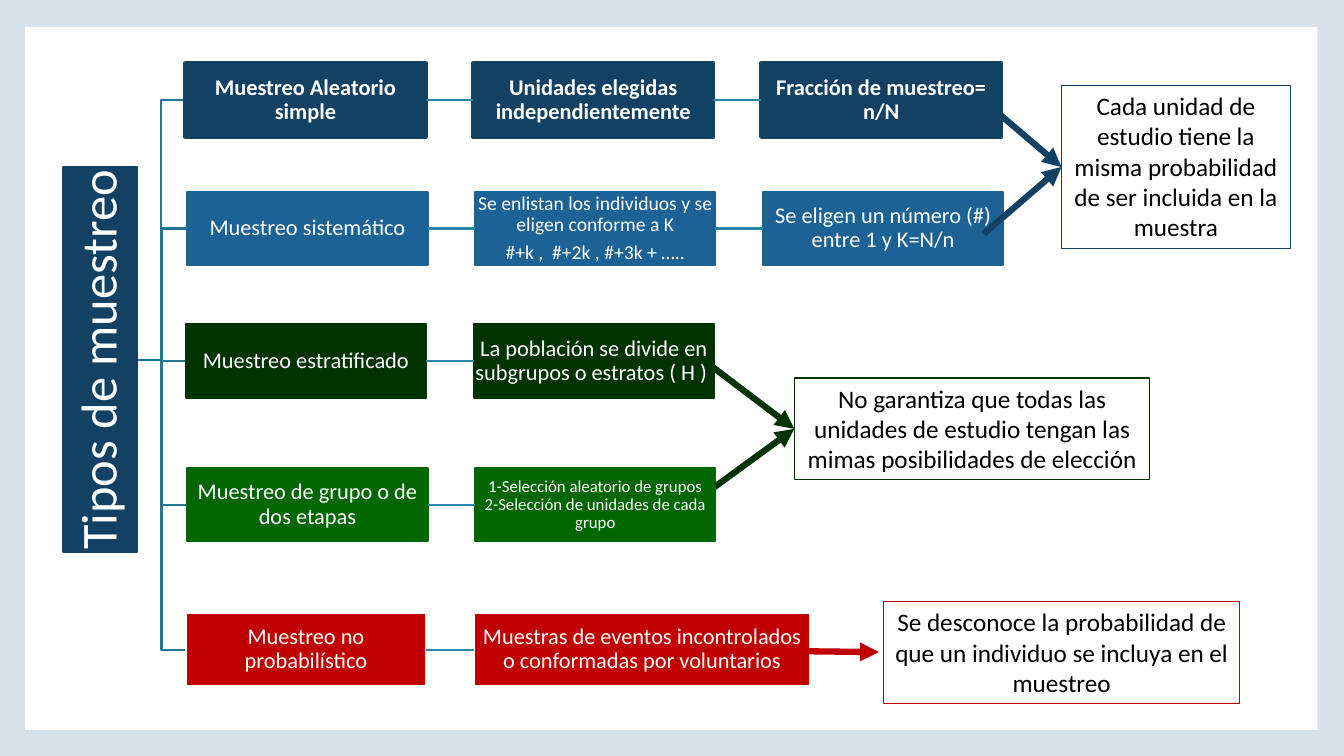
from dataclasses import dataclass

import pptx
import pptx.dml.color
import pptx.enum.shapes
import pptx.enum.text
import pptx.util
from lxml import etree
from pptx.oxml.ns import qn

Pt = pptx.util.Pt
ALIGN = pptx.enum.text.PP_ALIGN
ANCHOR = pptx.enum.text.MSO_ANCHOR
CONNECTOR = pptx.enum.shapes.MSO_CONNECTOR

COLORS = {
    "background": "D8E2EB", "white": "FFFFFF", "black": "000000",
    "navy": "124163", "blue": "1C6294", "forest": "003300",
    "green": "006600", "red": "C00000",
    "branch": "267493", "link": "2B85A8",
}
FONT = "Calibri"
STEP_WIDTH, STEP_HEIGHT, STEP_PITCH = 171.5, 52.5, 205.6
TRUNK_RIGHT, TRUNK_MIDDLE = 97.9, 257
TRUNK_LENGTH, TRUNK_THICKNESS = 275, 52.5


@dataclass
class Step:
    text: str
    size: float = 16
    width: float = STEP_WIDTH


@dataclass
class Method:
    left: float
    top: float
    fill: str
    border: str
    steps: list[Step]
    border_width: float = 1.5
    bold: bool = False


@dataclass
class Arrow:
    start: tuple[float, float]
    end: tuple[float, float] | None = None  # None: joins the conclusion's left side
    behind: bool = False


@dataclass
class Conclusion:
    text: str
    left: float
    top: float
    width: float
    height: float
    color: str
    arrows: list[Arrow]


METHODS = [
    Method(132.5, 45.3, "navy", "navy", [
        Step("Muestreo Aleatorio simple"),
        Step("Unidades elegidas independientemente"),
        Step("Fracción de muestreo= n/N")], border_width=3, bold=True),
    Method(133.9, 137, "blue", "blue", [
        Step("Muestreo sistemático"),
        Step("Se enlistan los individuos y se eligen conforme a K\n"
             "#+k ,  #+2k , #+3k + …..", 14),
        Step("Se eligen un número (#) entre 1 y K=N/n")]),
    Method(132.8, 231.7, "forest", "forest", [
        Step("Muestreo estratificado"),
        Step("La población se divide en subgrupos o estratos ( H ) ")]),
    Method(133.9, 334.3, "green", "green", [
        Step("Muestreo de grupo o de dos etapas"),
        Step("1-Selección aleatorio de grupos\v"
             "2-Selección de unidades de cada grupo", 12)]),
    Method(132.8, 437.8, "red", "white", [
        Step("Muestreo no probabilístico"),
        Step("Muestras de eventos incontrolados o conformadas por voluntarios",
             width=240.5)]),
]
CONCLUSIONS = [
    Conclusion("Cada unidad de estudio tiene la misma probabilidad de ser incluida "
               "en la muestra", 758.2, 61, 163.5, 116.6, "navy",
               [Arrow((702.7, 72)), Arrow((702.7, 167))]),
    Conclusion("No garantiza que todas las unidades de estudio tengan las mimas "
               "posibilidades de elección", 567.4, 270, 254, 72.7, "forest",
               [Arrow((506.2, 260), behind=True), Arrow((499.7, 355.7), behind=True)]),
    Conclusion("Se desconoce la probabilidad de que un individuo se incluya en el "
               "muestreo", 631.4, 429.8, 254, 72.7, "red",
               [Arrow((567.4, 465.1), (627.8, 465.8))]),
]


def rgb(name: str) -> pptx.dml.color.RGBColor:
    return pptx.dml.color.RGBColor.from_string(COLORS[name])


def add_box(slide, left: float, top: float, width: float, height: float,
            fill: str, border: str | None = None, border_width: float = 1.5):
    box = slide.shapes.add_shape(pptx.enum.shapes.MSO_SHAPE.RECTANGLE,
                                 Pt(left), Pt(top), Pt(width), Pt(height))
    box.shadow.inherit = False
    box.fill.solid()
    box.fill.fore_color.rgb = rgb(fill)
    if border:
        box.line.color.rgb = rgb(border)
        box.line.width = Pt(border_width)
    else:
        box.line.fill.background()
    return box


def write(box, text: str, size: float, color: str, spacing: float = 1,
          inset: float | None = None, bold: bool = False) -> None:
    frame = box.text_frame
    frame.word_wrap = True
    frame.text = text
    if inset is not None:
        frame.margin_left = frame.margin_right = Pt(inset)
        frame.margin_top = frame.margin_bottom = Pt(inset)
    for index, paragraph in enumerate(frame.paragraphs):
        paragraph.alignment = ALIGN.CENTER
        paragraph.line_spacing = spacing
        paragraph.space_before = Pt(4.9 if index else 0)
        paragraph.font.name = FONT
        paragraph.font.size = Pt(size)
        paragraph.font.bold = bold
        paragraph.font.color.rgb = rgb(color)


def add_line(slide, kind, start: tuple[float, float], end: tuple[float, float],
             color: str, width: float = 1.5, arrowhead: bool = False):
    line = slide.shapes.add_connector(kind, *map(Pt, start + end))
    line.line.color.rgb = rgb(color)
    line.line.width = Pt(width)
    if arrowhead:
        etree.SubElement(line.line._get_or_add_ln(), qn("a:tailEnd"), type="triangle")
    etree.SubElement(line._element.spPr, qn("a:effectLst"))
    return line


def add_method(slide, method: Method) -> None:
    middle = method.top + STEP_HEIGHT / 2
    add_line(slide, CONNECTOR.ELBOW, (TRUNK_RIGHT, TRUNK_MIDDLE),
             (method.left, middle), "branch")
    previous = None
    for column, step in enumerate(method.steps):
        left = method.left + column * STEP_PITCH
        box = add_box(slide, left, method.top, step.width, STEP_HEIGHT,
                      method.fill, method.border, method.border_width)
        box.text_frame.vertical_anchor = ANCHOR.MIDDLE
        write(box, step.text, step.size, "white", 0.9, 0.75, method.bold)
        if previous is not None:
            link = add_line(slide, CONNECTOR.STRAIGHT, (left, middle),
                            (left, middle), "link")
            link.begin_connect(previous, 3)
            link.end_connect(box, 1)
        previous = box


def add_conclusion(slide, conclusion: Conclusion):
    box = add_box(slide, conclusion.left, conclusion.top, conclusion.width,
                  conclusion.height, "white", conclusion.color, 0.75)
    box.text_frame.vertical_anchor = ANCHOR.TOP
    write(box, conclusion.text, 18, "black")
    box.text_frame.auto_size = pptx.enum.text.MSO_AUTO_SIZE.SHAPE_TO_FIT_TEXT
    return box


def add_arrows(slide, conclusion: Conclusion, box, behind: bool) -> None:
    for arrow in conclusion.arrows:
        if arrow.behind == behind:
            line = add_line(slide, CONNECTOR.STRAIGHT, arrow.start,
                            arrow.end or arrow.start, conclusion.color, 4.5, True)
            if arrow.end is None:
                line.end_connect(box, 1)


def main() -> None:
    deck = pptx.Presentation()
    deck.slide_width, deck.slide_height = Pt(960), Pt(540)
    slide = deck.slides.add_slide(deck.slide_layouts[6])

    # Background and white panel
    slide.background.fill.solid()
    slide.background.fill.fore_color.rgb = rgb("background")
    add_box(slide, 18, 19.4, 923, 502, "white")

    # Conclusions, with the arrows that run behind the steps
    conclusion_boxes = [add_conclusion(slide, conclusion) for conclusion in CONCLUSIONS]
    for conclusion, box in zip(CONCLUSIONS, conclusion_boxes):
        add_arrows(slide, conclusion, box, behind=True)

    # Sampling methods, one row each
    for method in METHODS:
        add_method(slide, method)

    # Trunk title, turned to read upwards
    trunk = add_box(slide, TRUNK_RIGHT - (TRUNK_THICKNESS + TRUNK_LENGTH) / 2,
                    TRUNK_MIDDLE - TRUNK_THICKNESS / 2,
                    TRUNK_LENGTH, TRUNK_THICKNESS, "navy", "navy")
    trunk.rotation = 270
    trunk.text_frame.vertical_anchor = ANCHOR.MIDDLE
    write(trunk, "Tipos de muestreo", 36, "white", 0.9, 1.5)

    # Arrows in front of the steps
    for conclusion, box in zip(CONCLUSIONS, conclusion_boxes):
        add_arrows(slide, conclusion, box, behind=False)

    deck.save("out.pptx")


if __name__ == "__main__":
    main()
